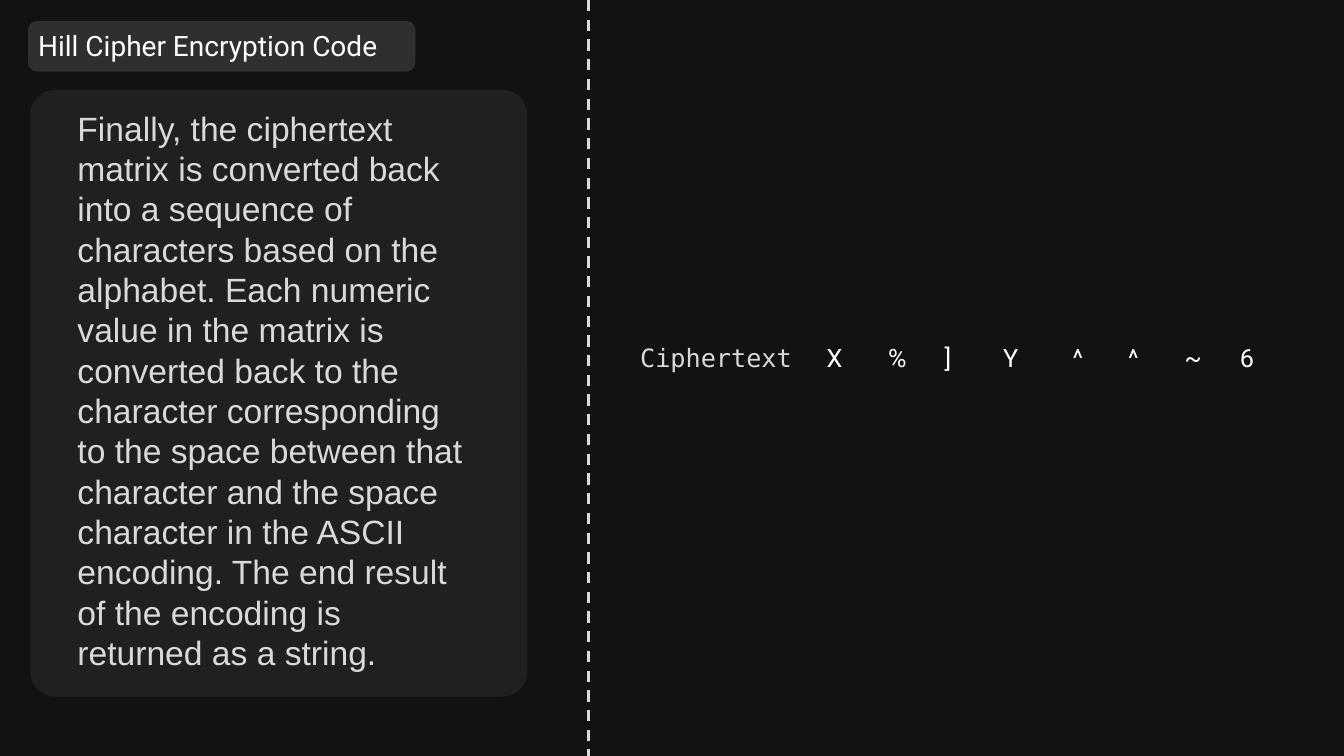
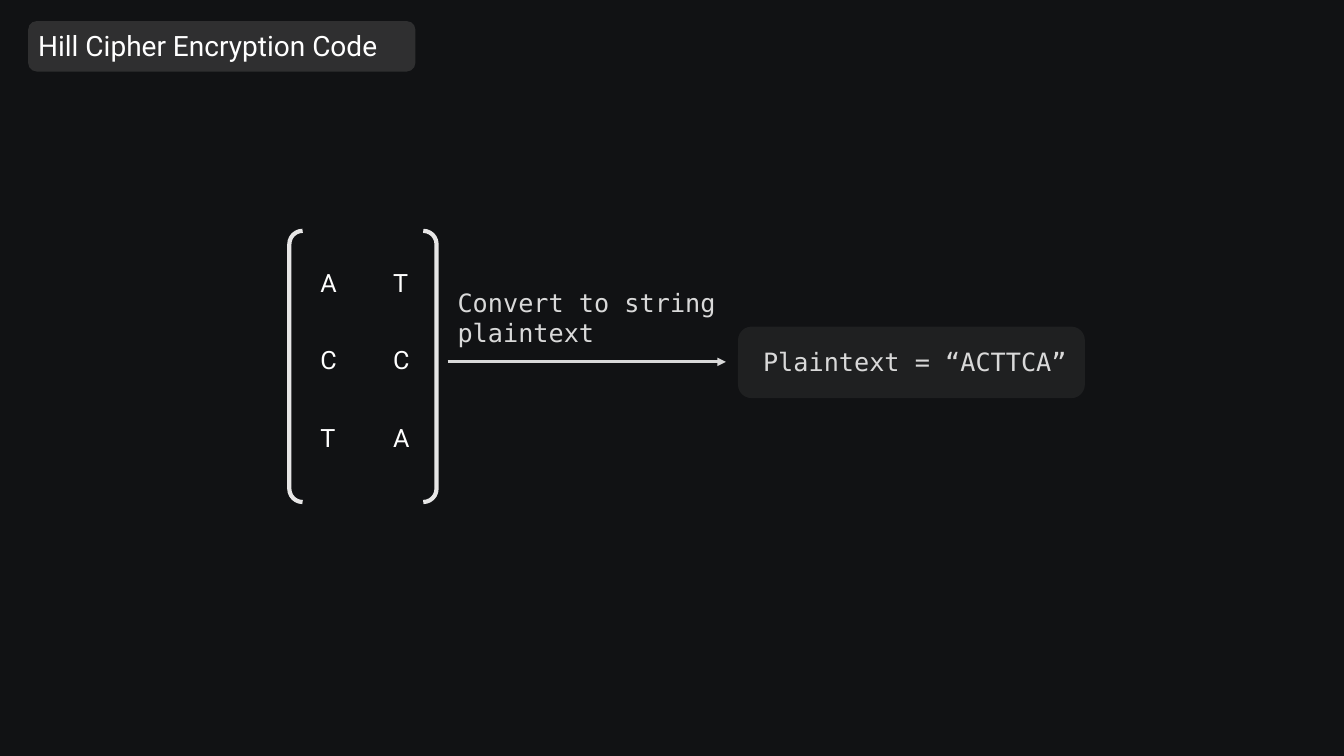
from lxml.etree import SubElement
from pptx import Presentation
from pptx.dml.color import RGBColor
from pptx.enum.dml import MSO_LINE
from pptx.enum.shapes import MSO_CONNECTOR, MSO_SHAPE
from pptx.oxml.ns import qn
from pptx.util import Pt

PX = 9144  # 100 px to the inch
BACKGROUND = RGBColor(0x11, 0x12, 0x14)
PANEL = RGBColor(0x59, 0x59, 0x59)
WHITE = RGBColor(0xFF, 0xFF, 0xFF)
SOFT_WHITE = RGBColor(0xD9, 0xD9, 0xD9)
BRACKET = RGBColor(0xE7, 0xE6, 0xE6)
MONO = "DejaVu Sans Mono"


def add_text(page, text, left, top, width, height, size=18, font="Roboto", color=WHITE):
    box = page.shapes.add_textbox(left * PX, top * PX, width * PX, height * PX)
    box.text_frame.word_wrap = True
    box.text_frame.text = text
    span = box.text_frame.paragraphs[0].runs[0]
    span.font.size = Pt(size)
    span.font.name = font
    span.font.color.rgb = color


def add_panel(page, left, top, width, height, rounding, opacity):
    panel = page.shapes.add_shape(
        MSO_SHAPE.ROUNDED_RECTANGLE, left * PX, top * PX, width * PX, height * PX)
    panel.shadow.inherit = False
    panel.adjustments[0] = rounding
    panel.line.fill.background()
    panel.fill.solid()
    panel.fill.fore_color.rgb = PANEL
    color = panel.fill._xPr.find(".//" + qn("a:srgbClr"))
    SubElement(color, qn("a:alpha"), val=str(opacity * 1000))


# Deck with a shared background and title band
deck = Presentation()
deck.slide_width = 1333 * PX
deck.slide_height = 750 * PX
deck.slide_master.background.fill.solid()
deck.slide_master.background.fill.fore_color.rgb = BACKGROUND

pages = [deck.slides.add_slide(deck.slide_layouts[6]) for _ in range(2)]
for page in pages:
    add_panel(page, 28, 21, 384, 50, 0.17, 42)
    add_text(page, "Hill Cipher Encryption Code", 28, 23, 384, 44, size=20)
string_page, matrix_page = pages

# Slide 1: explanation on the left
add_panel(string_page, 30, 89, 493, 602, 0.05, 20)
add_text(
    string_page,
    "Finally, the ciphertext matrix is converted back into a sequence of characters "
    "based on the alphabet. Each numeric value in the matrix is converted back to the "
    "character corresponding to the space between that character and the space "
    "character in the ASCII encoding. The end result of the encoding is returned as "
    "a string.",
    67, 102, 412, 576, size=24, font="Arial", color=SOFT_WHITE)

# Slide 1: ciphertext on the right
add_text(string_page, "Ciphertext", 625, 335, 179, 40, font=MONO, color=SOFT_WHITE)
letter_lefts = [810, 871, 927, 985, 1054, 1109, 1165, 1220]
for letter, left in zip("X%]Y^^~6", letter_lefts):
    add_text(string_page, letter, left, 335, 43, 40)

# Slide 2: matrix in brackets
brackets = matrix_page.shapes.add_shape(
    MSO_SHAPE.DOUBLE_BRACKET, 287 * PX, 229 * PX, 146 * PX, 269 * PX)
brackets.shadow.inherit = False
brackets.adjustments[0] = 0.09
brackets.fill.background()
brackets.line.color.rgb = BRACKET
brackets.line.width = Pt(3)
for row, letters in enumerate(["AT", "CC", "TA"]):
    for column, letter in enumerate(letters):
        add_text(matrix_page, letter, 308 + 72 * column, 260 + 77 * row, 53, 40)

# Slide 2: conversion label and result
add_text(matrix_page, "Convert to string plaintext", 444, 280, 276, 71,
         font=MONO, color=SOFT_WHITE)
add_panel(matrix_page, 732, 324, 344, 71, 0.19, 20)
add_text(matrix_page, "Plaintext = “ACTTCA”", 747, 339, 344, 40,
         font=MONO, color=SOFT_WHITE)

# Dashed divider on slide 1, arrow on slide 2
divider = string_page.shapes.add_connector(
    MSO_CONNECTOR.STRAIGHT, 584 * PX, 0, 584 * PX, 750 * PX)
arrow = matrix_page.shapes.add_connector(
    MSO_CONNECTOR.STRAIGHT, 444 * PX, 359 * PX, 720 * PX, 359 * PX)
for connector in (divider, arrow):
    connector.line.color.rgb = SOFT_WHITE
    connector.line.width = Pt(2)
    SubElement(connector._element.spPr, qn("a:effectLst"))
divider.line.dash_style = MSO_LINE.DASH
SubElement(arrow.line._get_or_add_ln(), qn("a:tailEnd"), type="triangle")

deck.save("out.pptx")
